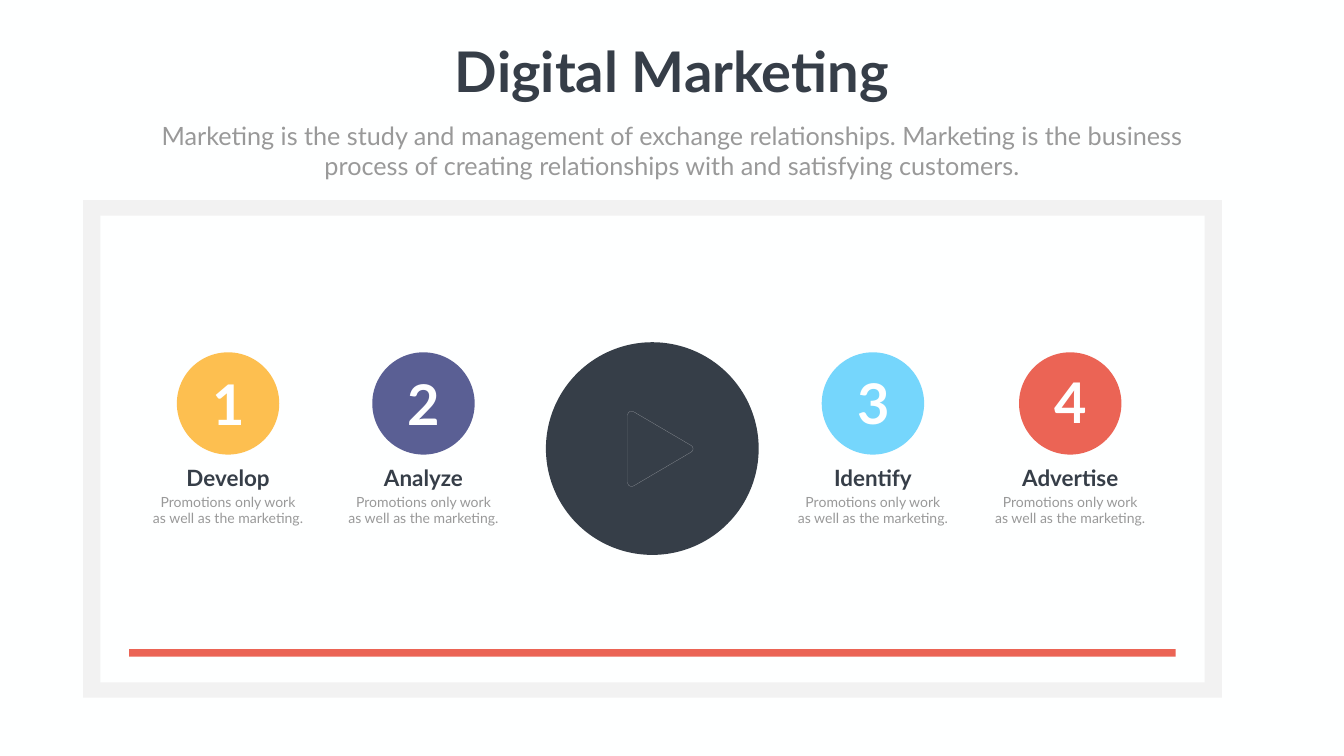
from pptx import Presentation
from pptx.dml.color import RGBColor
from pptx.enum.shapes import MSO_SHAPE
from pptx.enum.text import MSO_AUTO_SIZE, PP_ALIGN
from pptx.util import Inches, Pt

hue = RGBColor.from_string
DARK, GRAY, WHITE, RED = "363E48", "999999", "FEFFFF", "EB6455"

deck = Presentation()
deck.slide_width, deck.slide_height = Inches(26.66), Inches(15)
slide = deck.slides.add_slide(deck.slide_layouts[6])
slide.background.fill.solid()
slide.background.fill.fore_color.rgb = hue(WHITE)

# The grid has 100 columns and 100 rows across the slide.
COL, ROW = deck.slide_width / 100, deck.slide_height / 100


def draw(kind, x, y, wide, high, color):
    shape = slide.shapes.add_shape(
        kind, int(x * COL), int(y * ROW), int(wide * COL), int(high * ROW))
    shape.shadow.inherit = False
    shape.fill.solid()
    shape.fill.fore_color.rgb = hue(color)
    shape.line.fill.background()


def write(lines, mid, y, wide, high, size, color, bold=False, wrap=True):
    """Add centred lines of text around the column mid."""
    box = slide.shapes.add_textbox(
        int((mid - wide / 2) * COL), int(y * ROW), int(wide * COL), int(high * ROW))
    frame = box.text_frame
    frame.word_wrap = wrap
    frame.auto_size = MSO_AUTO_SIZE.SHAPE_TO_FIT_TEXT
    frame.text = "\n".join(lines)
    look = {"name": "Lato", "size": Pt(size), "bold": bold}
    for para in frame.paragraphs:
        para.alignment = PP_ALIGN.CENTER
        for run in para.runs:
            for key, value in look.items():
                setattr(run.font, key, value)
            run.font.color.rgb = hue(color)


# Screen frame, progress bar and play disc
draw(MSO_SHAPE.RECTANGLE, 6.19, 26.47, 84.73, 65.8, "F2F2F2")
draw(MSO_SHAPE.RECTANGLE, 7.46, 28.53, 82.18, 61.73, WHITE)
draw(MSO_SHAPE.RECTANGLE, 9.6, 85.87, 77.87, 1, RED)
draw(MSO_SHAPE.OVAL, 40.62, 45.27, 15.83, 28.13, DARK)

# Play sign: a triangle whose three corners are cubic curves
corners = [
    [(47.15, 54.47), (46.92, 54.27), (46.7, 54.53), (46.7, 54.93)],
    [(46.7, 63.8), (46.7, 64.2), (46.92, 64.47), (47.15, 64.27)],
    [(51.43, 59.8), (51.61, 59.6), (51.61, 59.13), (51.43, 58.93)],
]
dots = []
for bend in corners:
    for step in range(9):
        t = step / 8
        parts = ((1 - t) ** 3, 3 * t * (1 - t) ** 2, 3 * t * t * (1 - t), t ** 3)
        dots.append((sum(p * x for p, (x, y) in zip(parts, bend)) * COL,
                     sum(p * y for p, (x, y) in zip(parts, bend)) * ROW))
path = slide.shapes.build_freeform(*dots[0])
path.add_line_segments(dots[1:], close=True)
play = path.convert_to_shape()
play.shadow.inherit = False
play.fill.background()
play.line.width = Pt(0.25)
play.line.color.rgb = hue("9A9EA3")

# Heading
write(["Digital Marketing"], 50, 4.47, 33.8, 9.67, 80, DARK, True, False)
write(["Marketing is the study and management of exchange relationships. "
       "Marketing is the business process of creating relationships with "
       "and satisfying customers."], 50, 15.53, 79.9, 8.73, 36, GRAY)

# Four numbered steps
steps = [
    ("Develop", 16.97, "FDBF50"),
    ("Analyze", 31.51, "5A5F94"),
    ("Identify", 64.95, "75D6FC"),
    ("Advertise", 79.63, RED),
]
note = ["Promotions only work", "as well as the marketing."]
for i, (name, mid, color) in enumerate(steps):
    draw(MSO_SHAPE.OVAL, mid - 3.81, 46.6, 7.62, 13.53, color)
    write([name], mid, 61, 9.79, 4.27, 32, DARK, True)
    write(note, mid, 64.9, 15.08, 5.13, 20, GRAY)
    write([str(i + 1)], mid + 0.05, 48.6 - 0.11 * i, 3.19, 9.67, 80, WHITE, True, False)

deck.save("out.pptx")
